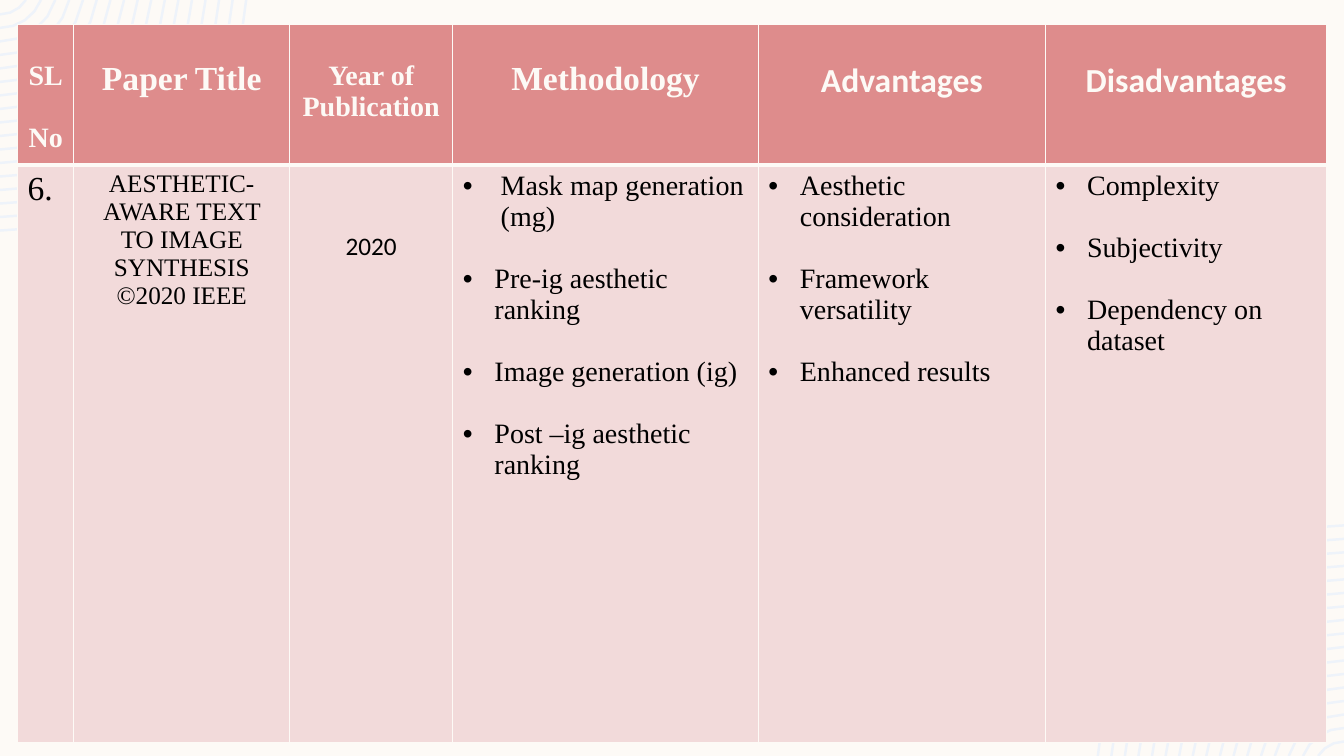
from dataclasses import dataclass
from math import asin, cos, pi, sin

from lxml.etree import SubElement
from pptx import Presentation
from pptx.dml.color import RGBColor
from pptx.enum.text import PP_ALIGN as Align
from pptx.oxml.ns import qn
from pptx.util import Pt


@dataclass(frozen=True)
class Theme:
    paper: str = "FDFAF6"
    ring: str = "EEF3FA"
    header: str = "DE8C8C"
    body: str = "F2DADA"
    ink: str = "000000"
    serif: str = "Times New Roman"
    sans: str = "Calibri"
    large: float = 24
    medium: float = 20
    small: float = 18
    thin: float = 1
    thick: float = 3


THEME = Theme()
WIDTH, HEIGHT = 960, 540
LINE_GAP = 22.1
COLUMN_WIDTHS = [40.3, 154.1, 116.6, 218.2, 205.2, 200.9]
ROW_HEIGHTS = [100.6, 412.6]

HEADERS = [
    (["SL", "No"], dict(size=THEME.medium, gap=LINE_GAP)),
    (["Paper Title"], dict(size=THEME.large)),
    (["Year of", "Publication"], dict(size=THEME.medium, top=26)),
    (["Methodology"], dict(size=THEME.large, top=26)),
    (["Advantages"], dict(size=THEME.large, font=THEME.sans)),
    (["Disadvantages"], dict(size=THEME.large, font=THEME.sans)),
]
BULLETS = dict(size=THEME.medium, gap=LINE_GAP, indent=22.5)
PAPER = [
    (["6."], dict(size=THEME.large)),
    (["AESTHETIC-AWARE TEXT TO IMAGE SYNTHESIS", "©2020 IEEE"],
     dict(size=THEME.small, align=Align.CENTER)),
    (["2020"], dict(size=THEME.small, font=THEME.sans, align=Align.CENTER, top=47.5)),
    (["Mask map generation (mg)", "Pre-ig aesthetic ranking",
      "Image generation (ig)", "Post –ig aesthetic ranking"],
     dict(BULLETS, first_indent=27)),
    (["Aesthetic consideration", "Framework versatility", "Enhanced results"], BULLETS),
    (["Complexity", "Subjectivity", "Dependency on dataset"], BULLETS),
]


def color(value):
    return RGBColor.from_string(value)


def add_bullet(paragraph, indent):
    properties = paragraph._p.get_or_add_pPr()
    properties.set("marL", str(Pt(indent)))
    properties.set("indent", str(-Pt(indent)))
    SubElement(properties, qn("a:buFont")).set("typeface", "Arial")
    SubElement(properties, qn("a:buChar")).set("char", "•")


def write_text(frame, lines, size, font=THEME.serif, ink=THEME.ink, bold=False,
               align=Align.LEFT, gap=0, indent=0, first_indent=0):
    for index, line in enumerate(lines):
        paragraph = frame.add_paragraph() if index else frame.paragraphs[0]
        paragraph.alignment = align
        if index and gap:
            paragraph.space_before = Pt(gap)
        if indent:
            add_bullet(paragraph, indent if index else first_indent or indent)
        run = paragraph.add_run()
        run.text = line
        run.font.size = Pt(size)
        run.font.name = font
        run.font.bold = bold
        run.font.color.rgb = color(ink)


def set_borders(cell, **widths):
    properties = cell._tc.get_or_add_tcPr()
    for side in "LRTB":
        border = SubElement(properties, qn(f"a:ln{side}"), w=str(Pt(widths.get(side, THEME.thin))))
        fill = SubElement(border, qn("a:solidFill"))
        SubElement(fill, qn("a:srgbClr")).set("val", THEME.paper)


def fill_row(table, row, contents, background, borders, **defaults):
    for column, (lines, overrides) in enumerate(contents):
        cell = table.cell(row, column)
        style = {**defaults, **overrides}
        cell.margin_top = Pt(style.pop("top", 3.6))
        set_borders(cell, **borders)
        cell.fill.solid()
        cell.fill.fore_color.rgb = color(background)
        write_text(cell.text_frame, lines, **style)


def add_survey_table(slide, left, top):
    frame = slide.shapes.add_table(
        len(ROW_HEIGHTS), len(COLUMN_WIDTHS), Pt(left), Pt(top),
        Pt(sum(COLUMN_WIDTHS)), Pt(sum(ROW_HEIGHTS)))
    table = frame.table
    table.first_row = table.horz_banding = False
    for column, width in zip(table.columns, COLUMN_WIDTHS):
        column.width = Pt(width)
    for row, height in zip(table.rows, ROW_HEIGHTS):
        row.height = Pt(height)
    fill_row(table, 0, HEADERS, THEME.header, dict(B=THEME.thick),
             ink=THEME.paper, bold=True, align=Align.CENTER, top=25.5)
    fill_row(table, 1, PAPER, THEME.body, dict(T=THEME.thick))


def arc_points(corner_x, corner_y, direction, radius, rise=11.5):
    steps = 2 + round(radius / 20)
    start = asin(rise / radius)
    angles = [start + (pi / 2 - start) * step / steps for step in range(steps + 1)]
    return [(Pt(corner_x + direction * radius * cos(angle)),
             Pt(corner_y + direction * (radius * sin(angle) - rise))) for angle in angles]


def add_corner_rings(slide, corner_x, corner_y, direction,
                     outer=176.2, step=9.65, band=1.75, count=17):
    arcs = [arc_points(corner_x, corner_y, direction, outer - index * step)
            for index in range(count)]
    builder = slide.shapes.build_freeform(*arcs[0][0], scale=1.0)
    builder.add_line_segments(arcs[0][1:], close=False)
    for arc in arcs[1:]:
        builder.move_to(*arc[0])
        builder.add_line_segments(arc[1:], close=False)
    rings = builder.convert_to_shape()
    rings.shadow.inherit = False
    rings.fill.background()
    rings.line.color.rgb = color(THEME.ring)
    rings.line.width = Pt(band)


def main():
    presentation = Presentation()
    presentation.slide_width, presentation.slide_height = Pt(WIDTH), Pt(HEIGHT)
    slide = presentation.slides.add_slide(presentation.slide_layouts[6])
    slide.background.fill.solid()
    slide.background.fill.fore_color.rgb = color(THEME.paper)
    add_corner_rings(slide, 0, 0, 1)
    add_corner_rings(slide, WIDTH, HEIGHT, -1)
    add_survey_table(slide, 12.5, 17.5)
    presentation.save("out.pptx")


if __name__ == "__main__":
    main()
